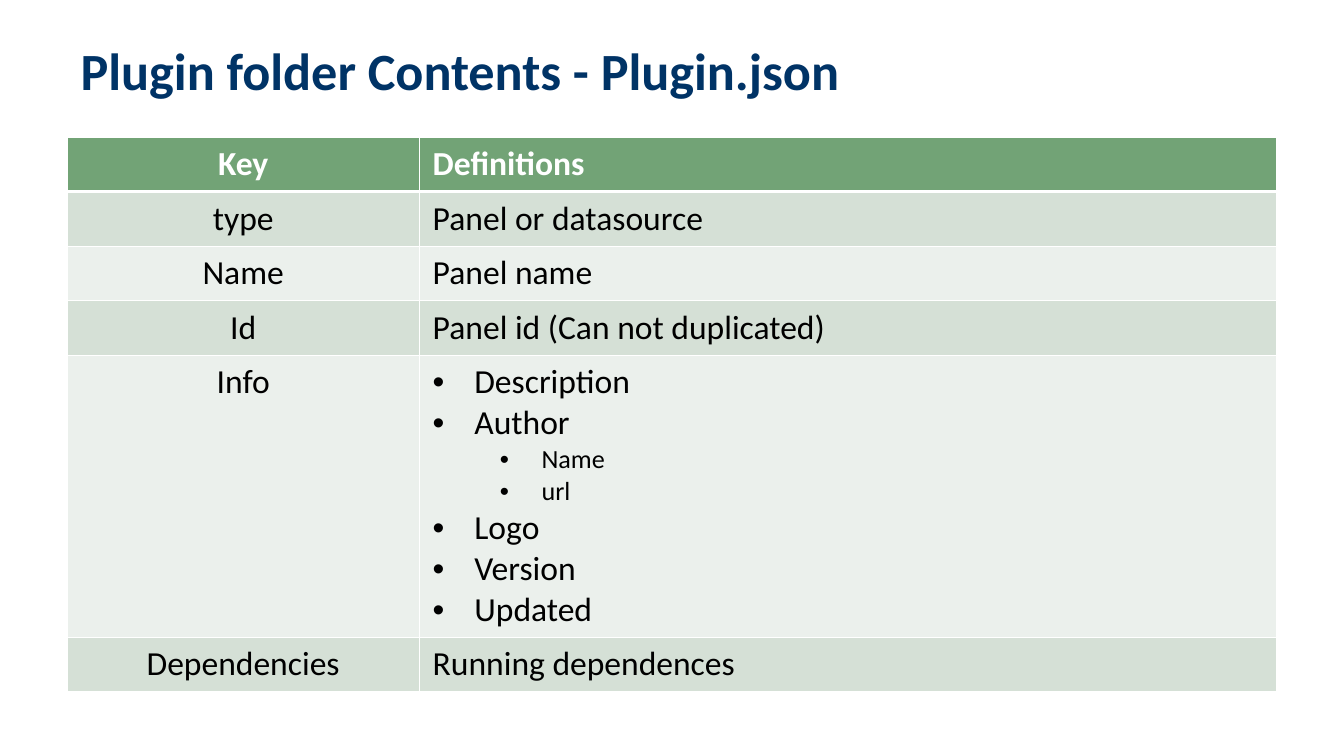
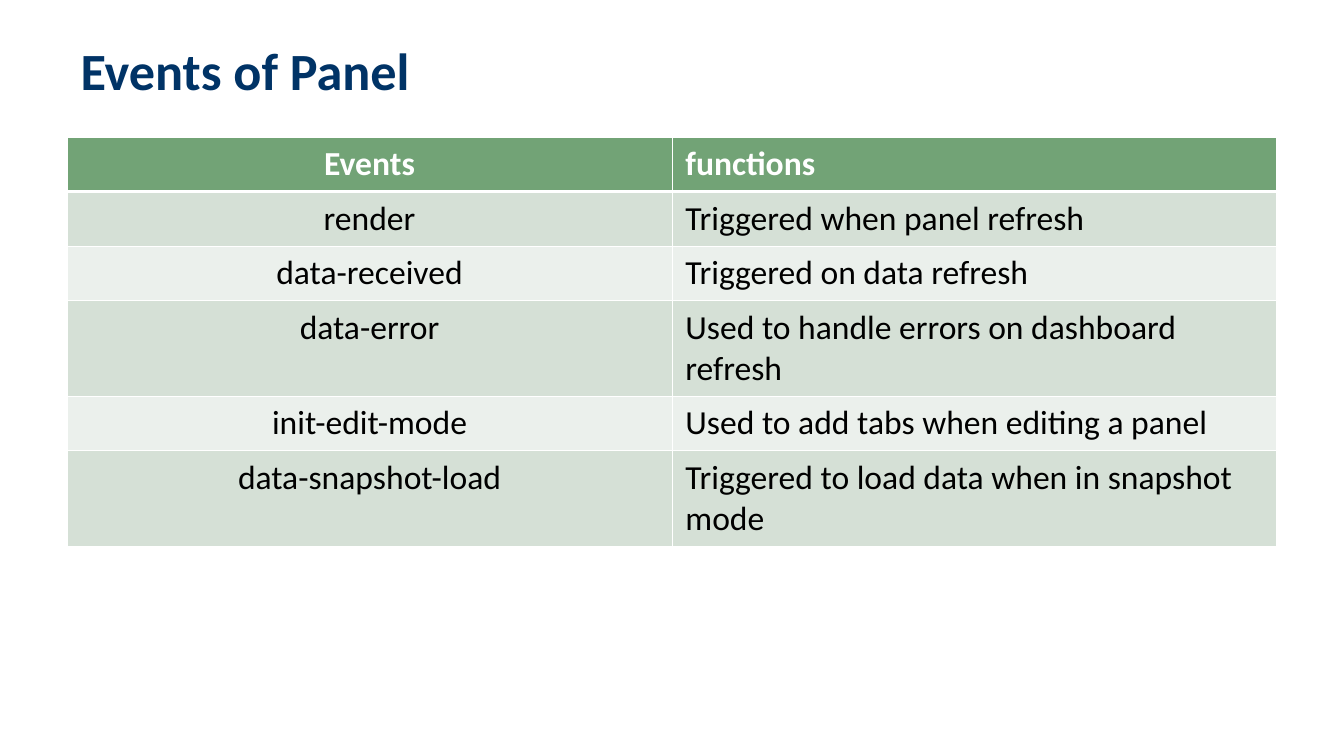
from lxml.etree import SubElement
from pptx import Presentation
from pptx.dml.color import RGBColor
from pptx.enum.text import MSO_ANCHOR, PP_ALIGN
from pptx.oxml.ns import qn
from pptx.util import Emu, Inches, Pt

FONT = "Calibri"
NAVY, WHITE, BLACK = "003366", "FFFFFF", "000000"
GREEN, PALE, PALER = "72A376", "D5E0D6", "EBF0EC"
WIDTH = Inches(10)
HEIGHT = Emu(WIDTH * 9 // 16)
MARGIN = 0.05
TITLE_BOX = (MARGIN, 0.1 / 5.63, 1 - 2 * MARGIN, 0.83 / 5.63)
TABLE_BOX = (MARGIN, 1.02 / 5.63, 1 - 2 * MARGIN)
LEVEL_SIZES = (18, 14)
LINE_SPACING = 1.22
CELL_PADDING = 7.2
THIN, THICK = 0.45, 1.47

PLUGIN_ROWS = [
    ("Key", "Definitions", 1),
    ("type", "Panel or datasource", 1),
    ("Name", "Panel name", 1),
    ("Id", "Panel id (Can not duplicated)", 1),
    ("Info", [("Description", 0), ("Author", 0), ("Name", 1), ("url", 1),
              ("Logo", 0), ("Version", 0), ("Updated", 0)], 1),
    ("Dependencies", "Running dependences", 1),
]
EVENT_ROWS = [
    ("Events", "functions", 1),
    ("render", "Triggered when panel refresh", 1),
    ("data-received", "Triggered on data refresh", 1),
    ("data-error", "Used to handle errors on dashboard refresh", 2),
    ("init-edit-mode", "Used to add tabs when editing a panel", 1),
    ("data-snapshot-load", "Triggered to load data when in snapshot mode", 2),
]


def color(value):
    """Turn a hex string into a colour."""
    return RGBColor.from_string(value)


def add_span(para, text, size, tone, bold=False):
    """Add one formatted run to a paragraph."""
    span = para.add_run()
    span.text = text
    span.font.name, span.font.size, span.font.bold = FONT, Pt(size), bold
    span.font.color.rgb = color(tone)


def add_title(page, text, box):
    """Place and format the title placeholder in a box of slide shares."""
    title = page.shapes.title
    left, top, width, height = box
    title.left, title.width = Emu(int(left * WIDTH)), Emu(int(width * WIDTH))
    title.top, title.height = Emu(int(top * HEIGHT)), Emu(int(height * HEIGHT))
    frame = title.text_frame
    frame.vertical_anchor = MSO_ANCHOR.MIDDLE
    para = frame.paragraphs[0]
    para.alignment = PP_ALIGN.LEFT
    add_span(para, text, 28, NAVY, True)


def add_bullet(para, level):
    """Give a paragraph a hanging bullet at its level."""
    para.level = level
    props = para._p.get_or_add_pPr()
    props.set("marL", str(Inches(0.31 + 0.5 * level)))
    props.set("indent", str(Inches(-0.31)))
    tone = SubElement(props, qn("a:buClr"))
    SubElement(tone, qn("a:srgbClr"), val=BLACK)
    SubElement(props, qn("a:buFont"), typeface="Arial")
    SubElement(props, qn("a:buChar"), char="•")


def style_cell(cell, row):
    """Draw the white borders and the banded fill of a cell."""
    props = cell._tc.get_or_add_tcPr()
    widths = {"L": THIN, "R": THIN, "T": THICK if row == 1 else THIN,
              "B": THICK if row == 0 else THIN}
    for side, width in widths.items():
        line = SubElement(props, qn(f"a:ln{side}"), w=str(Pt(width)))
        fill = SubElement(line, qn("a:solidFill"))
        SubElement(fill, qn("a:srgbClr"), val=WHITE)
    cell.fill.solid()
    band = PALE if row % 2 else PALER
    cell.fill.fore_color.rgb = color(band if row else GREEN)


def fill_cell(cell, content, row, alignment):
    """Write a plain text or a bulleted list of (text, level) in a cell."""
    bulleted = not isinstance(content, str)
    items = content if bulleted else [(content, 0)]
    frame = cell.text_frame
    for index, (text, level) in enumerate(items):
        para = frame.add_paragraph() if index else frame.paragraphs[0]
        para.alignment = alignment
        if bulleted:
            add_bullet(para, level)
        add_span(para, text, LEVEL_SIZES[level], BLACK if row else WHITE, row == 0)


def row_height(content, lines):
    """Work out a row's height from its lines of text."""
    levels = [0] * lines if isinstance(content, str) else [level for _, level in content]
    return Pt(CELL_PADDING + LINE_SPACING * sum(LEVEL_SIZES[level] for level in levels))


def add_definition_table(page, rows, key_share, box):
    """Build a two-column table whose key column takes a share of the box."""
    left, top, share = box
    width = int(share * WIDTH)
    heights = [row_height(content, lines) for _, content, lines in rows]
    table = page.shapes.add_table(len(rows), 2, int(left * WIDTH), int(top * HEIGHT),
                                  width, sum(heights)).table
    key_width = int(key_share * width)
    for column, size in zip(table.columns, (key_width, width - key_width)):
        column.width = Emu(size)
    for row, (key, content, _) in enumerate(rows):
        table.rows[row].height = heights[row]
        for column, (value, alignment) in enumerate(
                ((key, PP_ALIGN.CENTER), (content, PP_ALIGN.LEFT))):
            cell = table.cell(row, column)
            style_cell(cell, row)
            fill_cell(cell, value, row, alignment)


def add_table_page(deck, title, rows, key_share):
    """Add a slide with a title above a definition table."""
    page = deck.slides.add_slide(deck.slide_layouts[5])
    add_title(page, title, TITLE_BOX)
    add_definition_table(page, rows, key_share, TABLE_BOX)


def main():
    """Build and save the deck."""
    deck = Presentation()
    deck.slide_width, deck.slide_height = WIDTH, HEIGHT
    add_table_page(deck, "Plugin folder Contents - Plugin.json", PLUGIN_ROWS, 2.62 / 9)
    add_table_page(deck, "Events of Panel", EVENT_ROWS, 0.5)
    deck.save("out.pptx")


if __name__ == "__main__":
    main()
